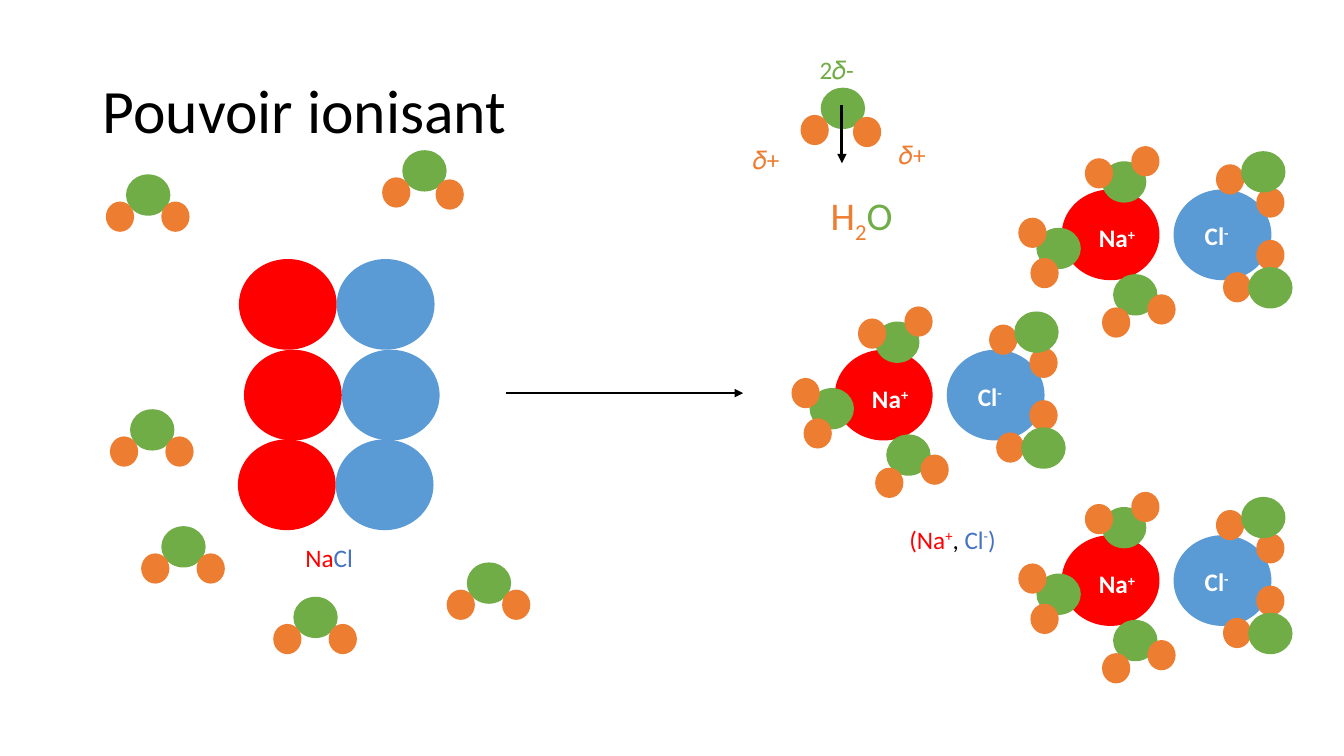
from dataclasses import dataclass
from lxml import etree
from pptx import Presentation
from pptx.dml.color import RGBColor
from pptx.enum.shapes import MSO_CONNECTOR, MSO_SHAPE
from pptx.enum.text import MSO_ANCHOR, MSO_AUTO_SIZE
from pptx.oxml.ns import qn
from pptx.util import Pt

PX = 9144  # EMU per px, 100 px to the inch
OVAL = MSO_SHAPE.OVAL
STRAIGHT = MSO_CONNECTOR.STRAIGHT
MIDDLE = MSO_ANCHOR.MIDDLE
GROW = MSO_AUTO_SIZE.SHAPE_TO_FIT_TEXT


@dataclass(frozen=True)
class Theme:
    font: str = "Calibri"
    title: int = 44
    formula: int = 28
    label: int = 18
    black: str = "000000"
    white: str = "FFFFFF"
    sodium: str = "FF0000"
    chloride: str = "5B9BD5"
    chloride_text: str = "4472C4"
    oxygen: str = "70AD47"
    hydrogen: str = "ED7D31"


T = Theme()
ION, OXYGEN, HYDROGEN = (97, 90), (44, 41), (28, 30)
SUP, SUB = 30000, -25000


def add_atom(s, x, y, size, color):
    sp = s.shapes.add_shape(OVAL, x * PX, y * PX, size[0] * PX, size[1] * PX)
    sp.shadow.inherit = False
    sp.fill.solid()
    sp.fill.fore_color.rgb = RGBColor.from_string(color)
    sp.line.fill.background()


def add_text(s, x, y, w, h, runs, size=T.label, bold=False):
    """Each run is (text, colour) or (text, colour, baseline)."""
    tf = s.shapes.add_textbox(x * PX, y * PX, w * PX, h * PX).text_frame
    tf.word_wrap = True
    tf.auto_size = GROW
    p = tf.paragraphs[0]
    p.font.name, p.font.size, p.font.bold = T.font, Pt(size), bold
    for text, color, *baseline in runs:
        r = p.add_run()
        r.text = text
        r.font.color.rgb = RGBColor.from_string(color)
        if baseline:
            r.font._element.set("baseline", str(baseline[0]))
    return tf


def add_arrow(s, x1, y1, x2, y2, width):
    line = s.shapes.add_connector(STRAIGHT, x1 * PX, y1 * PX, x2 * PX, y2 * PX)
    line.line.color.rgb = RGBColor.from_string(T.black)
    line.line.width = Pt(width)
    etree.SubElement(line.line._get_or_add_ln(), qn("a:tailEnd"), type="triangle")
    etree.SubElement(line._element.spPr, qn("a:effectLst"))


def add_title(s, x, y, w, h):
    tf = add_text(s, x, y, w, h, [("Pouvoir ionisant", T.black)], T.title)
    tf.auto_size = MSO_AUTO_SIZE.NONE
    tf.vertical_anchor = MIDDLE
    tf.paragraphs[0].line_spacing = 0.9


def add_water(s, x, y, right=(55, 27)):
    add_atom(s, x + 20, y, OXYGEN, T.oxygen)
    for dx, dy in ((0, 27), right):
        add_atom(s, x + dx, y + dy, HYDROGEN, T.hydrogen)


def add_crystal(s, x, y):
    # Three rows of ion pairs, slightly offset
    for dx, dy in ((1, 0), (6, 90), (0, 179)):
        add_atom(s, x + dx, y + dy, ION, T.sodium)
        add_atom(s, x + dx + 97, y + dy, ION, T.chloride)
    add_text(s, x + 57, y + 276, 115, 40, [("Na", T.sodium), ("Cl", T.chloride_text)])


def add_polar_water(s, x, y):
    # Molecule with its partial charges and dipole
    add_water(s, x + 57, y + 38, right=(52, 29))
    add_text(s, x + 77, y + 136, 112, 57,
             [("H", T.hydrogen), ("2", T.hydrogen, SUB), ("O", T.oxygen)], T.formula)
    add_text(s, x + 66, y, 65, 40, [("2𝛿-", T.oxygen)])
    for dx, dy in ((0, 89), (145, 84)):
        add_text(s, x + dx, y + dy, 48, 40, [("𝛿+", T.hydrogen)])
    add_arrow(s, x + 98, y + 55, x + 98, y + 113, 2.25)


def add_solvated_pair(s, x, y):
    add_atom(s, x + 43, y + 43, ION, T.sodium)
    add_atom(s, x + 154, y + 43, ION, T.chloride)
    # Sodium attracts the oxygens, chloride the hydrogens
    shell = (
        (OXYGEN, T.oxygen, ((83, 15), (18, 81), (94, 127))),
        (HYDROGEN, T.hydrogen, ((112, 0), (66, 12), (0, 71), (12, 111), (83, 160),
                                (128, 147), (196, 18), (236, 41), (236, 93), (203, 125))),
        (OXYGEN, T.oxygen, ((228, 120), (221, 5))),
    )
    for size, color, places in shell:
        for dx, dy in places:
            add_atom(s, x + dx, y + dy, size, color)
    for name, charge, dx, dy in (("Na", "+", 70, 71), ("Cl", "-", 175, 69)):
        add_text(s, x + dx, y + dy, 68, 40,
                 [(name, T.white), (charge, T.white, SUP)], bold=True)


def main():
    prs = Presentation()
    prs.slide_width, prs.slide_height = 1333 * PX, 750 * PX
    s = prs.slides.add_slide(prs.slide_layouts[6])
    add_title(s, 92, 40, 1150, 145)

    # Left: crystal among free water molecules
    add_crystal(s, 236, 257)
    for x, y in ((105, 173), (140, 522), (109, 406), (443, 558), (271, 592)):
        add_water(s, x, y)
    add_water(s, 379, 149, right=(53, 29))

    # Right: polar molecule and solvated ion pairs
    add_arrow(s, 502, 390, 737, 390, 1.5)
    add_polar_water(s, 737, 49)
    for x, y in ((785, 304), (1010, 145), (1010, 488)):
        add_solvated_pair(s, x, y)
    add_text(s, 892, 515, 143, 40, [
        ("(Na", T.sodium), ("+", T.sodium, SUP), (", ", T.black),
        ("Cl", T.chloride_text), ("-", T.chloride_text, SUP), (")", T.chloride_text)])
    prs.save("out.pptx")


if __name__ == "__main__":
    main()
